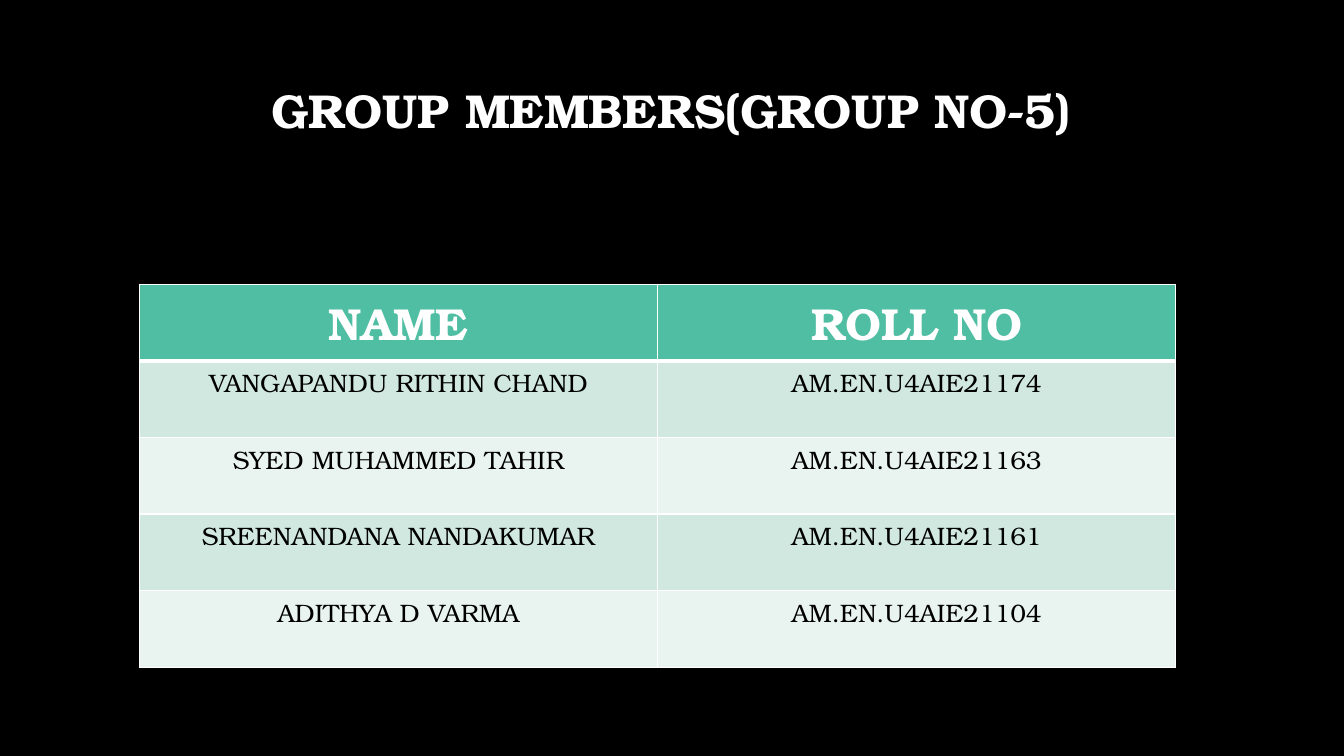
from lxml import etree
from pptx import Presentation
from pptx.dml.color import RGBColor
from pptx.enum import text
from pptx.oxml import ns
from pptx.util import Cm, Pt

FONT = "TeX Gyre Bonum"
COLORS = {
    "page": "000000",
    "light": "FFFFFF",
    "dark": "000000",
    "header": "50BEA3",
    "odd": "D0E8E0",
    "even": "E9F4F0",
}
MEMBERS = [
    ("NAME", "ROLL NO"),
    ("VANGAPANDU RITHIN CHAND", "AM.EN.U4AIE21174"),
    ("SYED MUHAMMED TAHIR", "AM.EN.U4AIE21163"),
    ("SREENANDANA NANDAKUMAR", "AM.EN.U4AIE21161"),
    ("ADITHYA D VARMA", "AM.EN.U4AIE21104"),
]
COLUMN_WIDTH, ROW_HEIGHT = Cm(13.06), Cm(1.93)


def color(name):
    return RGBColor.from_string(COLORS[name])


def format_para(para, size, color_name, bold):
    para.alignment = text.PP_ALIGN.CENTER
    font = para.font
    font.name, font.size, font.bold = FONT, Pt(size), bold
    font.color.rgb = color(color_name)


def add_title(page, wording):
    title = page.shapes.title
    title.left, title.top, title.width, title.height = Cm(2.54), Cm(1.7), Cm(28.75), Cm(3.68)
    frame = title.text_frame
    frame.text = wording
    frame.word_wrap = True
    frame.vertical_anchor = text.MSO_ANCHOR.MIDDLE
    frame.margin_bottom = Cm(1.5)  # lifts the line above the middle
    para = frame.paragraphs[0]
    para.line_spacing = 0.9
    format_para(para, 34, "light", True)


def set_borders(cell, widths):
    """Draw light cell borders; widths maps a side (L, R, T, B) to points."""
    properties = cell._tc.get_or_add_tcPr()
    for position, (side, width) in enumerate(widths.items()):
        line = etree.Element(ns.qn(f"a:ln{side}"), w=str(Pt(width)))
        fill = etree.SubElement(line, ns.qn("a:solidFill"))
        etree.SubElement(fill, ns.qn("a:srgbClr"), val=COLORS["light"])
        properties.insert(position, line)


def add_member_table(page, rows):
    columns = len(rows[0])
    table = page.shapes.add_table(
        len(rows), columns, Cm(3.51), Cm(7.16),
        COLUMN_WIDTH * columns, ROW_HEIGHT * len(rows)).table
    for column in table.columns:
        column.width = COLUMN_WIDTH
    for row_number, row in enumerate(rows):
        table.rows[row_number].height = ROW_HEIGHT
        is_header = row_number == 0
        band = "header" if is_header else "odd" if row_number % 2 else "even"
        for column_number, wording in enumerate(row):
            cell = table.cell(row_number, column_number)
            cell.text = wording
            cell.fill.solid()
            cell.fill.fore_color.rgb = color(band)
            para = cell.text_frame.paragraphs[0]
            if is_header:
                format_para(para, 32, "light", True)
            else:
                format_para(para, 18, "dark", False)
            # A thick rule parts the header from the members
            set_borders(cell, {"L": 1, "R": 1,
                               "T": 3 if row_number == 1 else 1,
                               "B": 3 if is_header else 1})


def main():
    deck = Presentation()
    deck.slide_width, deck.slide_height = Cm(33.87), Cm(19.05)
    page = deck.slides.add_slide(deck.slide_layouts.get_by_name("Title Only"))

    # Background
    page.background.fill.solid()
    page.background.fill.fore_color.rgb = color("page")

    # Content
    add_title(page, "GROUP MEMBERS(GROUP NO-5)")
    add_member_table(page, MEMBERS)
    deck.save("out.pptx")


if __name__ == "__main__":
    main()
